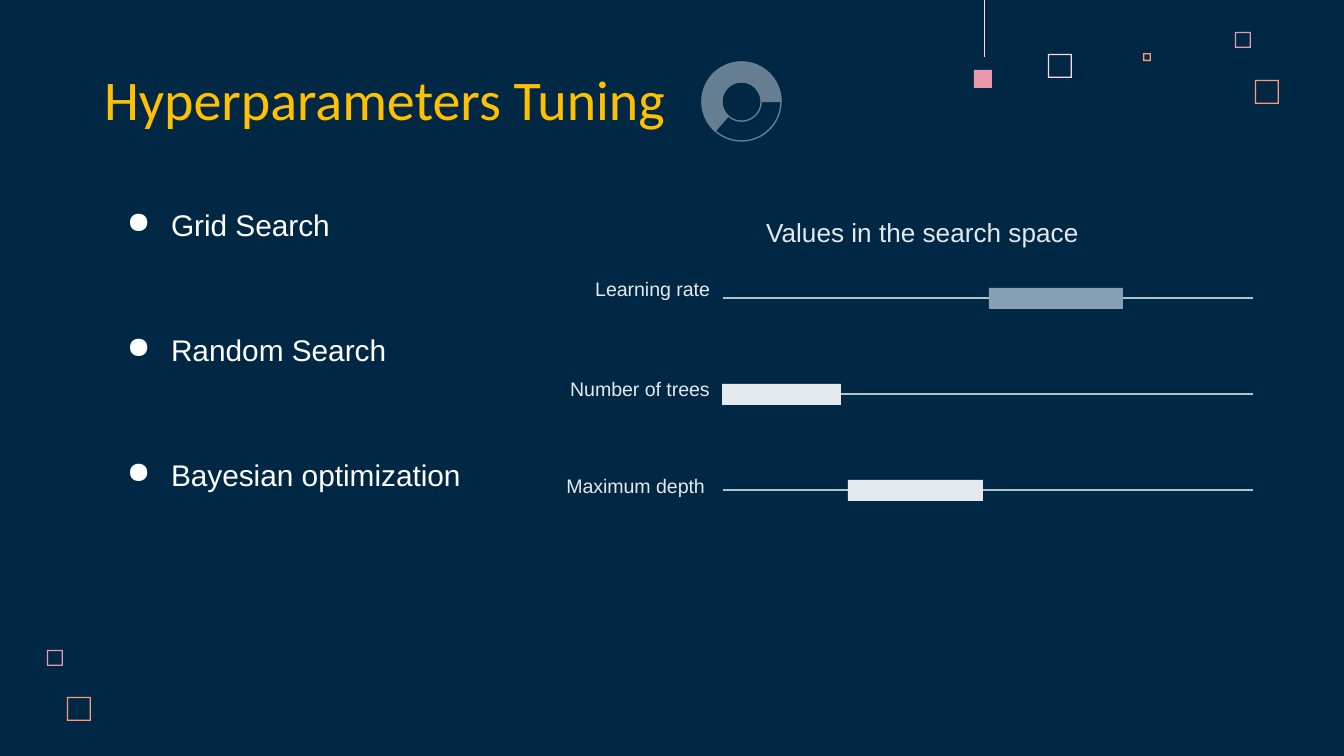
from dataclasses import dataclass

from lxml import etree
from pptx import Presentation
from pptx.dml.color import RGBColor
from pptx.enum.shapes import MSO_CONNECTOR, MSO_SHAPE
from pptx.enum.text import MSO_ANCHOR, PP_ALIGN
from pptx.oxml.ns import qn
from pptx.util import Emu, Inches, Pt

RECTANGLE, FRAME = MSO_SHAPE.RECTANGLE, MSO_SHAPE.FRAME
DONUT, BLOCK_ARC = MSO_SHAPE.DONUT, MSO_SHAPE.BLOCK_ARC
STRAIGHT = MSO_CONNECTOR.STRAIGHT
LEFT, CENTER, RIGHT = PP_ALIGN.LEFT, PP_ALIGN.CENTER, PP_ALIGN.RIGHT
TOP, BOTTOM = MSO_ANCHOR.TOP, MSO_ANCHOR.BOTTOM

PAGE_WIDTH, PAGE_HEIGHT = 1344, 756
SCALE = Inches(10) / PAGE_WIDTH
INSET = 13
TITLE_ONLY = 5


@dataclass(frozen=True)
class Theme:
    background: str = "002845"
    title: str = "FFC000"
    body: str = "FFFFFF"
    pale: str = "E3E9ED"
    steel: str = "869FB2"
    track: str = "B3C3CE"
    ring: str = "667E92"
    blush: str = "FFD6E1"
    pink: str = "E898AC"
    orange: str = "FF9973"
    title_font: str = "Calibri"
    body_font: str = "Arial"
    title_size: float = 30
    body_size: float = 16
    heading_size: float = 14
    label_size: float = 10.5


THEME = Theme()


@dataclass(frozen=True)
class Square:
    left: int
    top: int
    size: int
    color: str


@dataclass(frozen=True)
class Parameter:
    label: str
    label_left: int
    label_right: int
    line_spacing: float
    bar_left: int
    bar_width: int
    color: str


SQUARES = [
    Square(1048, 54, 24, THEME.blush),
    Square(1235, 32, 16, THEME.pink),
    Square(1143, 53, 8, THEME.orange),
    Square(1255, 80, 24, THEME.orange),
    Square(47, 650, 16, THEME.pink),
    Square(67, 697, 24, THEME.orange),
]
METHODS = ["Grid Search", "Random Search", "Bayesian optimization"]
PARAMETERS = [
    Parameter("Learning rate", 577, 723, 1, 989, 134, THEME.steel),
    Parameter("Number of trees", 534, 723, 1.15, 722, 119, THEME.pale),
    Parameter("Maximum depth", 534, 718, 1.15, 848, 135, THEME.pale),
]
TRACK_LEFT, TRACK_RIGHT = 723, 1253
TRACK_TOP, TRACK_PITCH = 298, 96
BAR_HEIGHT = 21


def px(value: int) -> Emu:
    return Emu(round(value * SCALE))


def rgb(color: str) -> RGBColor:
    return RGBColor.from_string(color)


def write_text(box, lines: list[str], *, size: float, color: str,
               font: str = THEME.body_font, align=LEFT, anchor=TOP,
               line_spacing: float = 1, space_after: float = 0,
               bullet: str = "") -> None:
    frame = box.text_frame
    frame.word_wrap = True
    frame.vertical_anchor = anchor
    frame.margin_left = frame.margin_right = px(INSET)
    frame.margin_top = frame.margin_bottom = px(INSET)
    for index, line in enumerate(lines):
        para = frame.paragraphs[0] if index == 0 else frame.add_paragraph()
        para.alignment = align
        para.line_spacing = line_spacing
        para.space_after = Pt(space_after)
        span = para.add_run()
        span.text = line
        span.font.name, span.font.size = font, Pt(size)
        span.font.color.rgb = rgb(color)
        if bullet:
            add_bullet(para, bullet, color)


def add_bullet(para, bullet: str, color: str) -> None:
    properties = para._p.get_or_add_pPr()
    properties.set("marL", str(px(67)))
    properties.set("indent", str(px(-44)))
    tint = etree.SubElement(properties, qn("a:buClr"))
    etree.SubElement(tint, qn("a:srgbClr"), val=color)
    etree.SubElement(properties, qn("a:buChar"), char=bullet)


def add_text(page, left: int, top: int, width: int, height: int,
             lines: list[str], **text_format) -> None:
    box = page.shapes.add_textbox(px(left), px(top), px(width), px(height))
    write_text(box, lines, **text_format)


def add_block(page, kind, left: int, top: int, width: int, height: int, *,
              fill: str = "", line: str = "", adjust: tuple = ()) -> None:
    shape = page.shapes.add_shape(kind, px(left), px(top), px(width), px(height))
    shape.shadow.inherit = False
    if fill:
        shape.fill.solid()
        shape.fill.fore_color.rgb = rgb(fill)
    else:
        shape.fill.background()
    if line:
        shape.line.color.rgb = rgb(line)
        shape.line.width = Pt(0.75)
    else:
        shape.line.fill.background()
    for index, value in enumerate(adjust):
        shape.adjustments[index] = value


def add_line(page, start: tuple[int, int], end: tuple[int, int],
             color: str, width: float) -> None:
    line = page.shapes.add_connector(STRAIGHT, *map(px, start + end))
    line.line.color.rgb = rgb(color)
    line.line.width = Pt(width)
    etree.SubElement(line._element.spPr, qn("a:effectLst"))


def add_parameter(page, item: Parameter, track: int) -> None:
    add_line(page, (TRACK_LEFT, track), (TRACK_RIGHT, track), THEME.track, 0.75)
    add_block(page, RECTANGLE, item.bar_left, track - BAR_HEIGHT // 2,
              item.bar_width, BAR_HEIGHT, fill=item.color)
    add_text(page, item.label_left, track - 33,
             item.label_right - item.label_left, 44, [item.label],
             size=THEME.label_size, color=THEME.pale, align=RIGHT,
             line_spacing=item.line_spacing)


def main() -> None:
    deck = Presentation()
    deck.slide_width, deck.slide_height = px(PAGE_WIDTH), px(PAGE_HEIGHT)
    page = deck.slides.add_slide(deck.slide_layouts[TITLE_ONLY])
    page.background.fill.solid()
    page.background.fill.fore_color.rgb = rgb(THEME.background)

    # Corner decoration
    for square in SQUARES:
        add_block(page, FRAME, square.left, square.top, square.size, square.size,
                  fill=square.color, adjust=(1.3 / square.size,))
    add_line(page, (984, 0), (984, 57), THEME.blush, 0.5)
    add_block(page, RECTANGLE, 974, 70, 18, 18, fill=THEME.pink)

    # Title
    title = page.shapes.title
    title.left, title.top, title.width, title.height = map(px, (91, 60, 695, 85))
    write_text(title, ["Hyperparameters Tuning"], size=THEME.title_size,
               color=THEME.title, font=THEME.title_font, anchor=BOTTOM)

    # Search methods
    add_text(page, 91, 188, 1163, 530, METHODS, size=THEME.body_size,
             color=THEME.body, line_spacing=1.15, space_after=45, bullet="●")

    # Search space ranges
    add_text(page, 649, 203, 547, 52, ["Values in the search space"],
             size=THEME.heading_size, color=THEME.pale, align=CENTER)
    for row, item in enumerate(PARAMETERS):
        add_parameter(page, item, TRACK_TOP + row * TRACK_PITCH)

    # Ring beside the title; angles are stored as 0.6 per degree
    for kind, fill, adjust in [(DONUT, "", (0.25,)),
                               (BLOCK_ARC, THEME.ring, (131.9 * 0.6, 0, 0.25))]:
        add_block(page, kind, 702, 62, 79, 79, fill=fill, line=THEME.ring,
                  adjust=adjust)

    deck.save("out.pptx")


if __name__ == "__main__":
    main()
